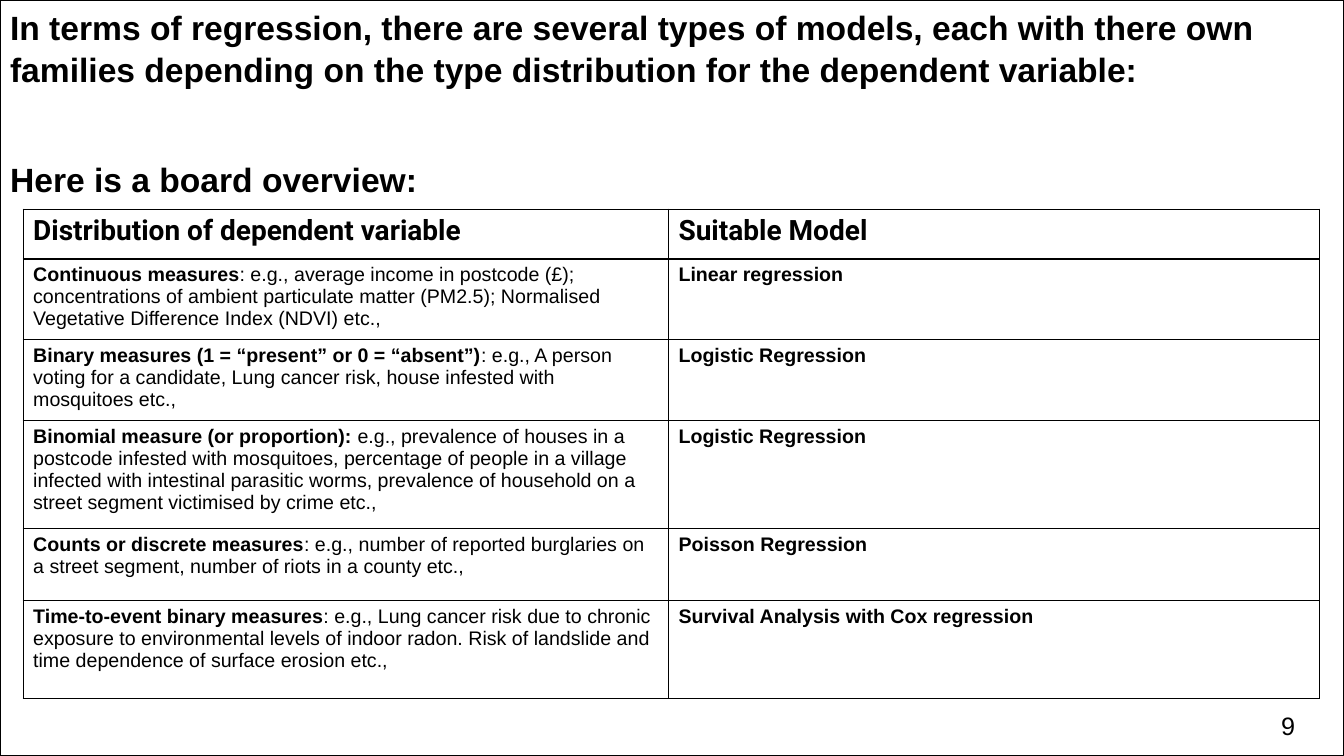
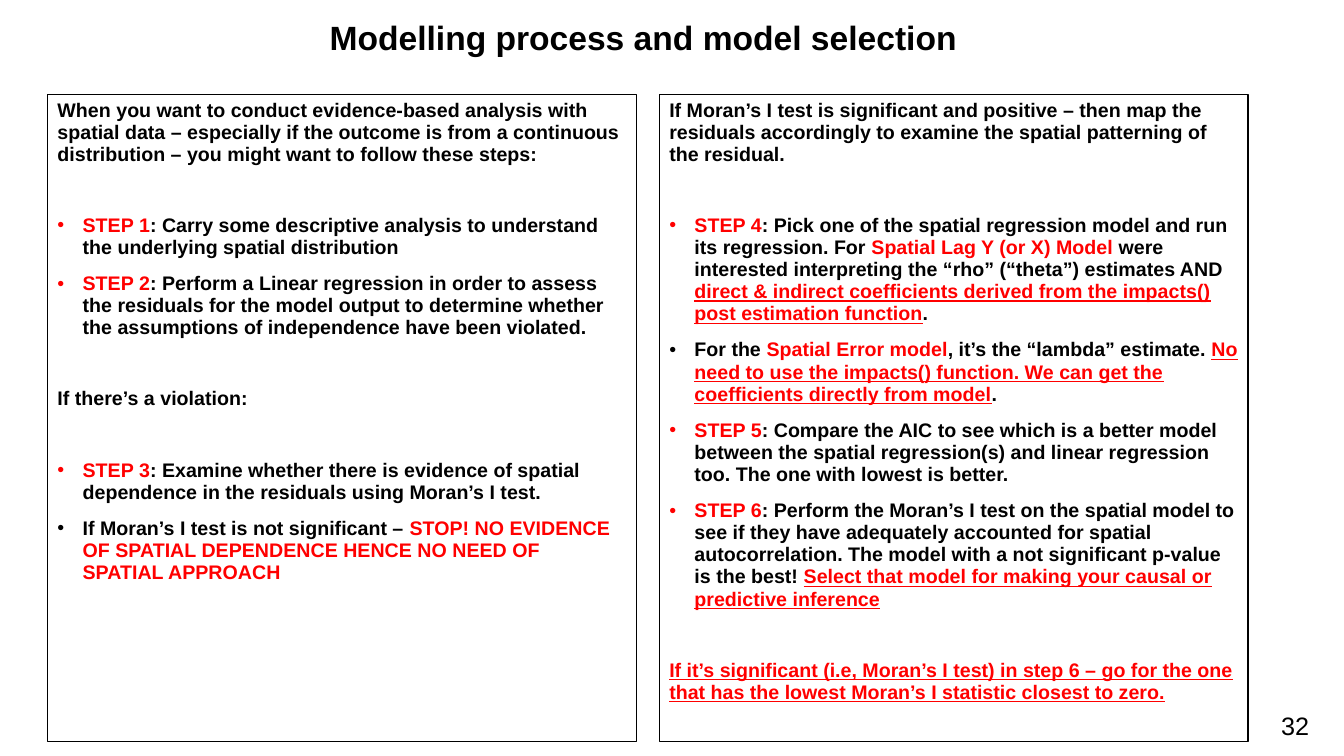
from dataclasses import dataclass
from typing import NamedTuple

from lxml.etree import SubElement
from pptx import Presentation
from pptx.dml.color import RGBColor
from pptx.enum.shapes import MSO_SHAPE
from pptx.enum.text import MSO_ANCHOR, MSO_AUTO_SIZE, PP_ALIGN
from pptx.oxml import parse_xml
from pptx.oxml.ns import nsdecls, qn
from pptx.util import Pt

BLACK, RED = "000000", "FF0000"
BODY_FONT, HEADER_FONT = "Arial", "Roboto"
TITLE_SIZE, BODY_SIZE, HEADER_SIZE, NUMBER_SIZE = 24, 14, 20, 18
TITLE_ONLY = 5
BULLET_INDENT = 18
STEP_GAP, SECTION_GAP = 10, 35
STEP_SPACING = 0.94


class Area(NamedTuple):
    """A rectangle in points."""

    left: float
    top: float
    width: float
    height: float


class Span(NamedTuple):
    """A stretch of text in one style."""

    text: str
    color: str = BLACK
    underline: bool = False
    bold: bool = True


@dataclass
class Para:
    """A paragraph with its own look."""

    spans: list[Span]
    before: float = 0
    bullet: bool = False
    size: float = BODY_SIZE
    font: str = BODY_FONT
    spacing: float = 1.0
    align: PP_ALIGN = PP_ALIGN.LEFT


class ModelRow(NamedTuple):
    """A table row pairing a kind of outcome with its model."""

    measure: str
    examples: str
    model: str
    height: float


SLIDE = Area(0, 0, 960, 540)
TITLE_AREA = Area(27, 11, 865, 34)
NUMBER_AREA = Area(908, 504, 43, 28)
TABLE_AREA = Area(16.5, 149.5, 926, 346)
PANEL_AREA = Area(34, 67.5, 420.5, 462)
PANEL_PITCH = 437
COLUMN_WIDTHS = (461, 465)
HEADER_HEIGHT = 35.5

HEADINGS = [
    "In terms of regression, there are several types of models, each with there own "
    "families depending on the type distribution for the dependent variable:",
    "Here is a board overview:",
]

TABLE_HEADER = ("Distribution of dependent variable", "Suitable Model")
MODEL_ROWS = [
    ModelRow("Continuous measures",
             ": e.g., average income in postcode (£); concentrations of ambient particulate "
             "matter (PM2.5); Normalised Vegetative Difference Index (NDVI) etc.,",
             "Linear regression", 57.5),
    ModelRow("Binary measures (1 = “present” or 0 = “absent”)",
             ": e.g., A person voting for a candidate, Lung cancer risk, house infested with "
             "mosquitoes etc.,",
             "Logistic Regression", 54.5),
    ModelRow("Binomial measure (or proportion): ",
             "e.g., prevalence of houses in a postcode infested with mosquitoes, percentage of "
             "people in a village infected with intestinal parasitic worms, prevalence of "
             "household on a street segment victimised by crime etc.,",
             "Logistic Regression", 77),
    ModelRow("Counts or discrete measures",
             ": e.g., number of reported burglaries on a street segment, number of riots in a "
             "county etc.,",
             "Poisson Regression", 51.5),
    ModelRow("Time-to-event binary measures",
             ": e.g., Lung cancer risk due to chronic exposure to environmental levels of indoor "
             "radon. Risk of landslide and time dependence of surface erosion etc.,",
             "Survival Analysis with Cox regression", 70),
]


def note(*spans: Span, before: float = 0) -> Para:
    """Make a plain panel paragraph."""
    return Para(list(spans), before, spacing=STEP_SPACING)


def step(*spans: Span, before: float = STEP_GAP) -> Para:
    """Make a bulleted panel paragraph."""
    return Para(list(spans), before, True, spacing=STEP_SPACING)


PANELS = [
    [
        note(Span("When you want to conduct evidence-based analysis with spatial data – especially "
                  "if the outcome is from a continuous distribution – you might want to follow "
                  "these steps:")),
        step(Span("STEP 1", RED),
             Span(": Carry some descriptive analysis to understand the underlying spatial "
                  "distribution"), before=SECTION_GAP),
        step(Span("STEP 2", RED),
             Span(": Perform a Linear regression in order to assess the residuals for the model "
                  "output to determine whether the assumptions of independence have been "
                  "violated.")),
        note(Span("If there’s a violation:"), before=SECTION_GAP),
        step(Span("STEP 3", RED),
             Span(": Examine whether there is evidence of spatial dependence in the residuals "
                  "using Moran’s I test."), before=SECTION_GAP),
        step(Span("If Moran’s I test is not significant – "),
             Span("STOP! NO EVIDENCE OF SPATIAL DEPENDENCE HENCE NO NEED OF SPATIAL APPROACH",
                  RED)),
    ],
    [
        note(Span("If Moran’s I test is significant and positive – then map the residuals "
                  "accordingly to examine the spatial patterning of the residual.")),
        step(Span("STEP 4", RED),
             Span(": Pick one of the spatial regression model and run its regression. For "),
             Span("Spatial Lag Y (or X) Model ", RED),
             Span("were interested interpreting the “rho” (“theta”) estimates AND "),
             Span("direct & indirect coefficients derived from the impacts() post estimation "
                  "function", RED, True),
             Span("."), before=SECTION_GAP),
        step(Span("For the "), Span("Spatial Error model", RED),
             Span(", it’s the “lambda” estimate. "),
             Span("No need to use the impacts() function. We can get the coefficients directly "
                  "from model", RED, True),
             Span(".")),
        step(Span("STEP 5", RED),
             Span(": Compare the AIC to see which is a better model between the spatial "
                  "regression(s) and linear regression too. The one with lowest is better.")),
        step(Span("STEP 6", RED),
             Span(": Perform the Moran’s I test on the spatial model to see if they have "
                  "adequately accounted for spatial autocorrelation. The model with a not "
                  "significant p-value is the best! "),
             Span("Select that model for making your causal or predictive inference", RED, True)),
        note(Span("If it’s significant (i.e, Moran’s I test) in step 6 – go for the one that has "
                  "the lowest Moran’s I statistic closest to zero.", RED, True),
             before=SECTION_GAP),
    ],
]


def rgb(color: str) -> RGBColor:
    """Turn a hex string into a colour."""
    return RGBColor.from_string(color)


def points(area: Area) -> tuple:
    """Convert an area to lengths."""
    return tuple(Pt(value) for value in area)


def write(frame, paras: list[Para]) -> None:
    """Fill a text frame with paragraphs."""
    frame.word_wrap = True
    for index, para in enumerate(paras):
        paragraph = frame.paragraphs[0] if index == 0 else frame.add_paragraph()
        if para.bullet:
            properties = paragraph._p.get_or_add_pPr()
            properties.set("marL", str(Pt(BULLET_INDENT)))
            properties.set("indent", str(-Pt(BULLET_INDENT)))
            SubElement(properties, qn("a:buFont")).set("typeface", BODY_FONT)
            SubElement(properties, qn("a:buChar")).set("char", "•")
        paragraph.alignment = para.align
        paragraph.line_spacing = para.spacing
        paragraph.space_before = Pt(para.before)
        paragraph.font.name = para.font
        paragraph.font.size = Pt(para.size)
        for span in para.spans:
            run = paragraph.add_run()
            run.text = span.text
            run.font.bold = span.bold
            run.font.color.rgb = rgb(span.color)
            if span.underline:
                run.font.underline = True


def outline(shape) -> None:
    """Give a shape a thin black edge and no fill."""
    shape.fill.background()
    shape.line.color.rgb = rgb(BLACK)
    shape.line.width = Pt(0.75)


def add_page(deck, area: Area, paras: list[Para], anchor: MSO_ANCHOR, number: int):
    """Add a slide with its title and page number."""
    page = deck.slides.add_slide(deck.slide_layouts[TITLE_ONLY])
    title = page.shapes.title
    title.left, title.top, title.width, title.height = points(area)
    title.text_frame.auto_size = MSO_AUTO_SIZE.NONE
    title.text_frame.vertical_anchor = anchor
    write(title.text_frame, paras)
    box = page.shapes.add_textbox(*points(NUMBER_AREA))
    write(box.text_frame, [Para([Span(str(number), bold=False)], size=NUMBER_SIZE)])
    return page


def style_cell(cell, para: Para) -> None:
    """Write a cell and draw its borders."""
    write(cell.text_frame, [para])
    cell.fill.background()
    properties = cell._tc.get_or_add_tcPr()
    for index, side in enumerate(("lnL", "lnR", "lnT", "lnB")):
        properties.insert(index, parse_xml(
            f'<a:{side} {nsdecls("a")} w="{Pt(1)}"><a:solidFill>'
            f'<a:srgbClr val="{BLACK}"/></a:solidFill></a:{side}>'))


def add_model_table(page) -> None:
    """Draw the table of outcomes and models."""
    shape = page.shapes.add_table(len(MODEL_ROWS) + 1, len(COLUMN_WIDTHS), *points(TABLE_AREA))
    table = shape.table
    table.first_row = table.horz_banding = False
    for column, width in zip(table.columns, COLUMN_WIDTHS):
        column.width = Pt(width)
    rows = [[Para([Span(text)], size=HEADER_SIZE, font=HEADER_FONT) for text in TABLE_HEADER]]
    rows += [[Para([Span(row.measure), Span(row.examples, bold=False)]), Para([Span(row.model)])]
             for row in MODEL_ROWS]
    heights = [HEADER_HEIGHT] + [row.height for row in MODEL_ROWS]
    for table_row, height, paras in zip(table.rows, heights, rows):
        table_row.height = Pt(height)
        for cell, para in zip(table_row.cells, paras):
            style_cell(cell, para)


def add_panel(page, area: Area, paras: list[Para]) -> None:
    """Draw an outlined panel of steps."""
    panel = page.shapes.add_shape(MSO_SHAPE.RECTANGLE, *points(area))
    panel.shadow.inherit = False
    outline(panel)
    panel.text_frame.vertical_anchor = MSO_ANCHOR.TOP
    write(panel.text_frame, paras)


def add_overview(deck) -> None:
    """Build the overview of regression models."""
    headings = [Para([Span(text)], before, size=TITLE_SIZE, spacing=1.04)
                for text, before in zip(HEADINGS, (0, 49))]
    page = add_page(deck, SLIDE, headings, MSO_ANCHOR.TOP, 9)
    outline(page.shapes.title)
    add_model_table(page)


def add_process(deck) -> None:
    """Build the slide of modelling steps."""
    title = Para([Span("Modelling process and model selection")], size=TITLE_SIZE,
                 spacing=0.9, align=PP_ALIGN.CENTER)
    page = add_page(deck, TITLE_AREA, [title], MSO_ANCHOR.MIDDLE, 32)
    for index, paras in enumerate(PANELS):
        left = PANEL_AREA.left + index * PANEL_PITCH
        add_panel(page, PANEL_AREA._replace(left=left), paras)


def main() -> None:
    """Build and save the deck."""
    deck = Presentation()
    deck.slide_width, deck.slide_height = Pt(SLIDE.width), Pt(SLIDE.height)
    add_overview(deck)
    add_process(deck)
    deck.save("out.pptx")


if __name__ == "__main__":
    main()
